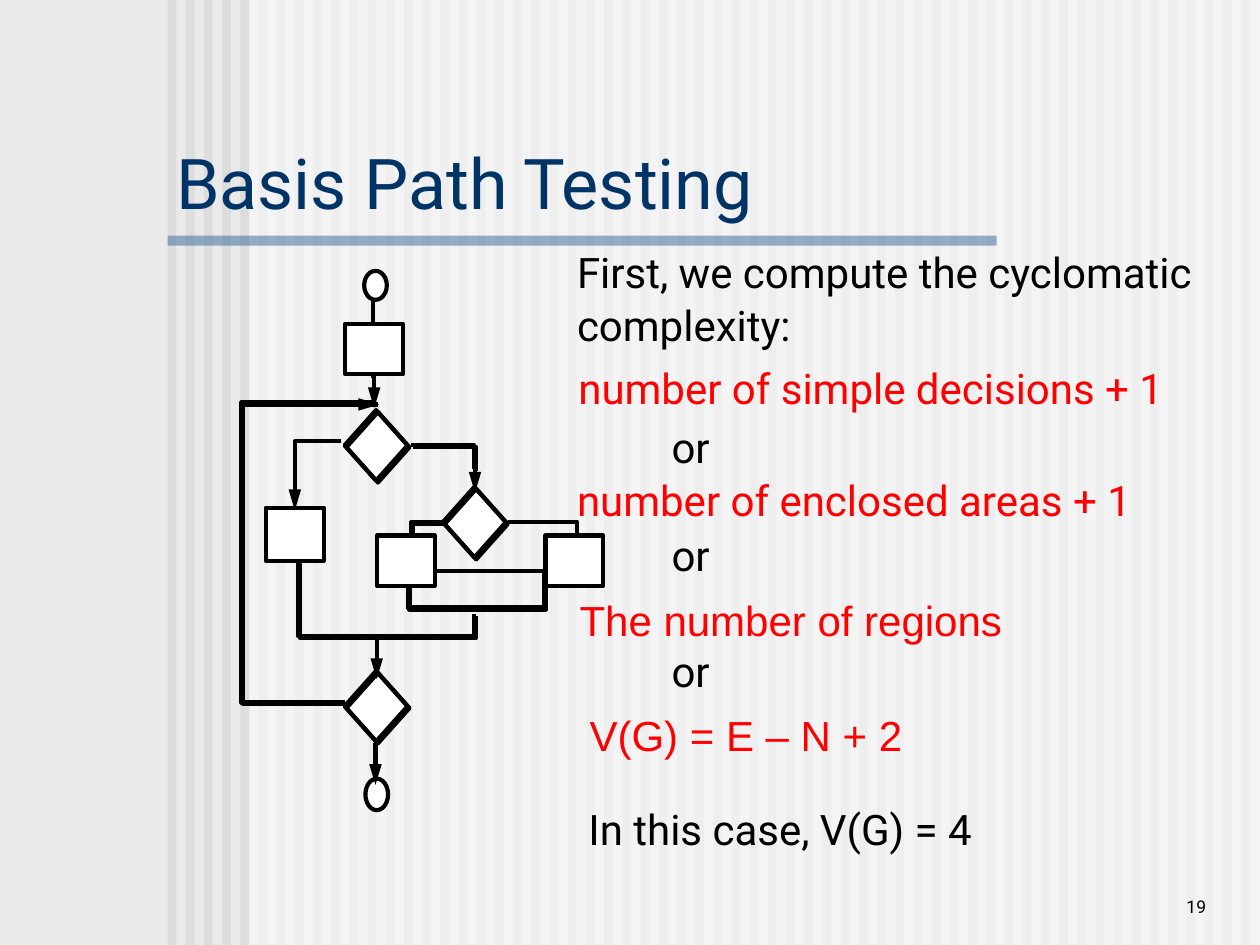
from lxml.etree import SubElement
from pptx import Presentation
from pptx.dml.color import RGBColor
from pptx.enum.shapes import MSO_CONNECTOR, MSO_SHAPE
from pptx.enum.text import MSO_ANCHOR, PP_ALIGN
from pptx.oxml.ns import qn
from pptx.util import Inches, Pt

BACK = RGBColor(0xEA, 0xEA, 0xEA)
STRIPE = RGBColor(0xDD, 0xDD, 0xDD)
WHITE = RGBColor(0xFF, 0xFF, 0xFF)
BLACK = RGBColor(0, 0, 0)
RED = RGBColor(0xFF, 0, 0)
NAVY = RGBColor(0, 0x33, 0x66)
BLUE = RGBColor(0x33, 0x66, 0x99)
PEN = Pt(2.38)
SHIFT = 0.015  # offset of the second stroke that thickens an outline


def place(slide, kind, x, y, w, h, fill=None, line=None, alpha=None):
    shape = slide.shapes.add_shape(kind, Inches(x), Inches(y), Inches(w), Inches(h))
    shape.shadow.inherit = False
    if fill is None:
        shape.fill.background()
    else:
        shape.fill.solid()
        shape.fill.fore_color.rgb = fill
    if alpha is not None:
        color = shape.fill._xPr.find(qn("a:solidFill"))[0]
        SubElement(color, qn("a:alpha"), val=str(alpha * 1000))
    if line is None:
        shape.line.fill.background()
    else:
        shape.line.color.rgb = line
        shape.line.width = PEN


def trace(slide, points, double=True):
    """Draw an open path, with a second stroke up and left if double."""
    for off in (0, SHIFT) if double else (0,):
        spots = [(Inches(x - off), Inches(y - off)) for x, y in points]
        pen = slide.shapes.build_freeform(*spots[0])
        pen.add_line_segments(spots[1:], close=False)
        shape = pen.convert_to_shape()
        shape.shadow.inherit = False
        shape.fill.background()
        shape.line.color.rgb = BLACK
        shape.line.width = PEN


def link(slide, x1, y1, x2, y2, arrow=False):
    line = slide.shapes.add_connector(
        MSO_CONNECTOR.STRAIGHT, Inches(x1), Inches(y1), Inches(x2), Inches(y2))
    line.line.color.rgb = BLACK
    line.line.width = PEN
    if arrow:
        SubElement(line.line._get_or_add_ln(), qn("a:tailEnd"),
                   type="triangle", w="med", len="lg")
    SubElement(line._element.spPr, qn("a:effectLst"))


def style(para, size, color, name="Roboto"):
    para.font.size = Pt(size)
    para.font.name = name
    para.font.color.rgb = color


def label(slide, words, x, y, color, name="Roboto", space=0.9):
    box = slide.shapes.add_textbox(Inches(x), Inches(y), Inches(5), Inches(0.36))
    frame = box.text_frame
    frame.word_wrap = True
    frame.margin_left = frame.margin_right = 0
    frame.margin_top = frame.margin_bottom = 0
    para = frame.paragraphs[0]
    para.text = words
    para.line_spacing = space
    style(para, 24, color, name)


def draw_back(slide):
    slide.background.fill.solid()
    slide.background.fill.fore_color.rgb = BACK
    for i in range(60):
        place(slide, MSO_SHAPE.RECTANGLE, 1.33 + i * 8.52 / 59, 0, 0.07, 7.5, STRIPE)
    place(slide, MSO_SHAPE.RECTANGLE, 1.98, 0, 8.02, 7.5, WHITE, alpha=50)
    place(slide, MSO_SHAPE.RECTANGLE, 1.33, 1.87, 6.58, 0.08, BLUE, alpha=50)


def draw_title(slide):
    """Fill in the title and raise it above the backdrop."""
    title = slide.shapes.title
    slide.shapes._spTree.append(title._element)
    title.left, title.top = Inches(1.33), Inches(1.08)
    title.width, title.height = Inches(5.11), Inches(0.72)
    frame = title.text_frame
    frame.margin_left = frame.margin_right = Inches(0.07)
    frame.margin_top = frame.margin_bottom = Inches(0.03)
    frame.vertical_anchor = MSO_ANCHOR.TOP
    para = frame.paragraphs[0]
    para.text = "Basis Path Testing"
    para.alignment = PP_ALIGN.LEFT
    style(para, 40, NAVY)


def draw_number(slide):
    box = slide.shapes.add_textbox(Inches(8.25), Inches(6.83), Inches(1.42), Inches(0.5))
    frame = box.text_frame
    frame.word_wrap = True
    frame.vertical_anchor = MSO_ANCHOR.BOTTOM
    para = frame.paragraphs[0]
    para.text = "19"
    para.alignment = PP_ALIGN.RIGHT
    style(para, 10, BLACK)


def draw_graph(slide):
    link(slide, 2.96, 2.35, 2.96, 3)
    trace(slide, [(3.28, 3.55), (3.78, 3.55), (3.78, 3.74)])
    trace(slide, [(2.71, 3.5), (2.34, 3.5), (2.34, 4)], double=False)
    trace(slide, [(4.03, 4.14), (4.58, 4.14), (4.58, 4.44)], double=False)
    trace(slide, [(3.55, 4.16), (3.28, 4.16), (3.28, 4.5)])
    trace(slide, [(3.25, 4.67), (3.25, 4.84), (4.33, 4.84), (4.33, 4.67)])
    place(slide, MSO_SHAPE.RECTANGLE, 3.24, 4.53, 1.08, 0.29, line=BLACK)
    trace(slide, [(3.78, 4.89), (3.78, 5.06), (2.38, 5.06), (2.38, 4.47)])
    trace(slide, [(2.75, 5.59), (1.93, 5.59), (1.93, 3.21), (3, 3.21)])

    for x, y in ((3.53, 3.88), (2.75, 3.27), (2.75, 5.34)):
        place(slide, MSO_SHAPE.DIAMOND, x, y, 0.5, 0.56, WHITE, BLACK)
        place(slide, MSO_SHAPE.DIAMOND, x - SHIFT, y - SHIFT, 0.5, 0.56, line=BLACK)
    for x, y, h in ((2.74, 2.57, 0.4), (2.99, 4.25, 0.4),
                    (4.33, 4.25, 0.4), (2.11, 4.03, 0.42)):
        place(slide, MSO_SHAPE.RECTANGLE, x, y, 0.46, h, WHITE, BLACK)
    for x, y, h in ((2.89, 2.15, 0.23), (2.9, 6.18, 0.25)):
        place(slide, MSO_SHAPE.OVAL, x, y, 0.18, h, WHITE, BLACK)

    for ends in ((2.79, 3.21, 3.01, 3.21), (3.77, 3.6, 3.77, 3.91),
                 (2.34, 3.77, 2.34, 4.05), (2.99, 5.06, 2.99, 5.39),
                 (2.97, 2.98, 2.97, 3.24), (2.98, 5.9, 2.98, 6.23)):
        link(slide, *ends, arrow=True)


def draw_text(slide):
    for words, x, y, color in (
            ("First, we compute the cyclomatic", 4.58, 2, BLACK),
            ("complexity:", 4.58, 2.42, BLACK),
            ("number of simple decisions + 1", 4.59, 2.92, RED),
            ("number of enclosed areas + 1", 4.58, 3.81, RED),
            ("In this case, V(G) = 4", 4.67, 6.42, BLACK)):
        label(slide, words, x, y, color)
    for y in (3.39, 4.25, 5.17):
        label(slide, "or", 5.33, y, BLACK)
    label(slide, "The number of regions", 4.6, 4.72, RED, "Arial", 1)
    label(slide, "V(G) = E – N + 2", 4.68, 5.63, RED, "Arial", 1)


def main():
    deck = Presentation()
    deck.slide_width, deck.slide_height = Inches(10), Inches(7.5)
    slide = deck.slides.add_slide(deck.slide_layouts[5])
    draw_back(slide)
    draw_title(slide)
    draw_number(slide)
    draw_graph(slide)
    draw_text(slide)
    deck.save("out.pptx")


if __name__ == "__main__":
    main()
